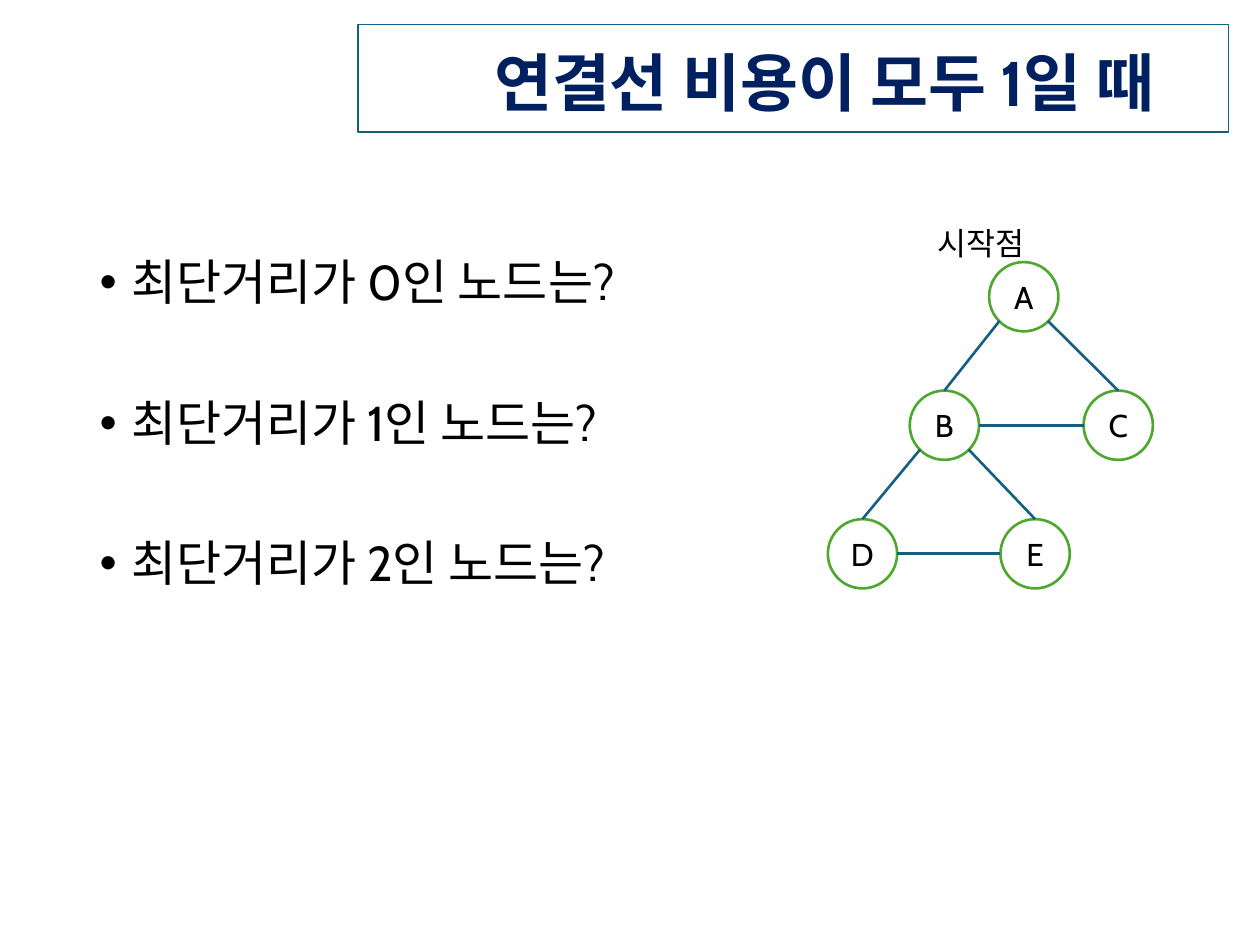
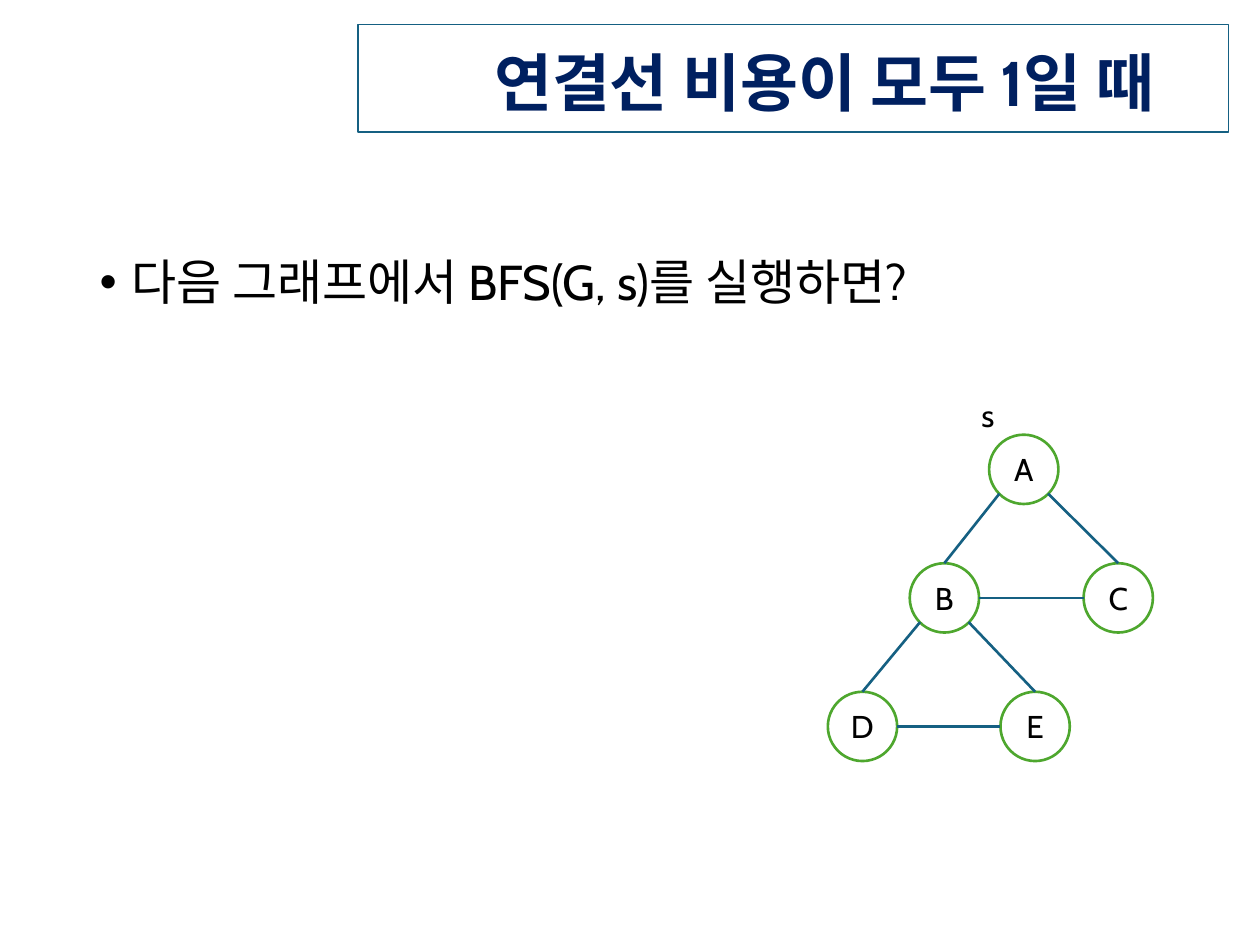
"""Builds two slides about shortest paths in a graph with unit edge costs."""
from lxml import etree
from pptx import Presentation
from pptx.dml.color import RGBColor
from pptx.enum.shapes import MSO_CONNECTOR, MSO_SHAPE
from pptx.enum.text import MSO_ANCHOR, MSO_AUTO_SIZE, PP_ALIGN
from pptx.oxml.ns import qn
from pptx.util import Inches, Pt

NAVY = RGBColor(0x00, 0x20, 0x60)
TEAL = RGBColor(0x15, 0x60, 0x82)
GREEN = RGBColor(0x4E, 0xA7, 0x2E)
WHITE = RGBColor(0xFF, 0xFF, 0xFF)
BLACK = RGBColor(0x00, 0x00, 0x00)
FONT = "Cabin"
OVAL = MSO_SHAPE.OVAL
STRAIGHT = MSO_CONNECTOR.STRAIGHT
MIDDLE, TOP = MSO_ANCHOR.MIDDLE, MSO_ANCHOR.TOP
GROW, NO_FIT = MSO_AUTO_SIZE.SHAPE_TO_FIT_TEXT, MSO_AUTO_SIZE.NONE
LEFT, CENTER, RIGHT = PP_ALIGN.LEFT, PP_ALIGN.CENTER, PP_ALIGN.RIGHT

TITLE = "연결선 비용이 모두 1일 때"
DIAMETER = 0.55
ROW_STEP = 1.02
NODES = {"A": (7.85, 0), "B": (7.22, 1), "C": (8.6, 1), "D": (6.57, 2), "E": (7.94, 2)}
SITES = {
    "top": (0.5, 0),
    "left": (0, 0.5),
    "right": (1, 0.5),
    "lower left": (0.15, 0.85),
    "lower right": (0.85, 0.85),
}
EDGES = [
    ("B", "top", "A", "lower left"),
    ("C", "top", "A", "lower right"),
    ("D", "top", "B", "lower left"),
    ("E", "top", "B", "lower right"),
    ("E", "left", "D", "right"),
    ("B", "right", "C", "left"),
]


class Deck:
    """Holds the shared style and the current slide."""

    def __init__(self):
        self.prs = Presentation()
        self.prs.slide_width, self.prs.slide_height = Inches(10), Inches(7.5)
        self.s = None

    def place(self, sp, x, y, w, h):
        sp.left, sp.top, sp.width, sp.height = (Inches(v) for v in (x, y, w, h))

    def add_text(self, p, text, size, color=BLACK, bold=False, align=LEFT):
        p.alignment = align
        r = p.add_run()
        r.text = text
        r.font.name, r.font.size, r.font.bold = FONT, Pt(size), bold
        r.font.color.rgb = color

    def new_slide(self, title):
        self.s = self.prs.slides.add_slide(self.prs.slide_layouts[1])
        self.s.background.fill.solid()
        self.s.background.fill.fore_color.rgb = WHITE
        sp = self.s.shapes.title
        self.place(sp, 2.84, 0.29, 6.91, 0.66)
        sp.line.color.rgb, sp.line.width = TEAL, Pt(0.75)
        tf = sp.text_frame
        tf.word_wrap, tf.auto_size, tf.vertical_anchor = False, GROW, MIDDLE
        tf.margin_left = tf.margin_right = Inches(0.59)
        tf.margin_top, tf.margin_bottom = Inches(0.12), 0
        p = tf.paragraphs[0]
        p.line_spacing = 0.9
        self.add_text(p, title, 36, NAVY, True, RIGHT)

    def bullets(self, items):
        sp = self.s.placeholders[1]
        self.place(sp, 0.69, 2, 9.31, 4.76)
        tf = sp.text_frame
        tf.auto_size, tf.vertical_anchor = NO_FIT, TOP
        for i, text in enumerate(items):
            p = tf.add_paragraph() if i else tf.paragraphs[0]
            p.line_spacing, p.space_before = 0.9, Pt(50 if i else 10)
            pPr = p._p.get_or_add_pPr()
            pPr.set("marL", str(Inches(0.25)))
            pPr.set("indent", str(Inches(-0.25)))
            etree.SubElement(pPr, qn("a:buFont")).set("typeface", "Arial")
            etree.SubElement(pPr, qn("a:buChar")).set("char", "•")
            self.add_text(p, text, 28)

    def node(self, name, x, y):
        sp = self.s.shapes.add_shape(OVAL, Inches(x), Inches(y), Inches(DIAMETER), Inches(DIAMETER))
        sp.shadow.inherit = False
        sp.fill.solid()
        sp.fill.fore_color.rgb = WHITE
        sp.line.color.rgb, sp.line.width = GREEN, Pt(1.5)
        tf = sp.text_frame
        tf.vertical_anchor = MIDDLE
        self.add_text(tf.paragraphs[0], name, 18, align=CENTER)
        return sp

    def edge(self, start, start_site, end, end_site):
        points = []
        for sp, site in ((start, start_site), (end, end_site)):
            fx, fy = SITES[site]
            points += [sp.left + int(sp.width * fx), sp.top + int(sp.height * fy)]
        line = self.s.shapes.add_connector(STRAIGHT, *points)
        if start_site == "top":
            line.begin_connect(start, 0)
        line.line.color.rgb, line.line.width = TEAL, Pt(1.5)
        etree.SubElement(line._element.spPr, qn("a:effectLst"))

    def label(self, text, x, y, w):
        sp = self.s.shapes.add_textbox(Inches(x), Inches(y), Inches(w), Inches(0.4))
        tf = sp.text_frame
        tf.word_wrap, tf.auto_size = False, GROW
        self.add_text(tf.paragraphs[0], text, 18)

    def graph(self, top):
        nodes = {n: self.node(n, x, top + row * ROW_STEP) for n, (x, row) in NODES.items()}
        for start, start_site, end, end_site in EDGES:
            self.edge(nodes[start], start_site, nodes[end], end_site)


def main():
    """Builds and saves the slides."""
    deck = Deck()

    deck.new_slide(TITLE)
    deck.bullets([f"최단거리가 {distance}인 노드는?" for distance in range(3)])
    deck.graph(2.08)
    deck.label("시작점", 7.34, 1.73, 0.96)

    deck.new_slide(TITLE)
    deck.bullets(["다음 그래프에서 BFS(G, s)를 실행하면?"])
    deck.graph(3.45)
    deck.label("s", 7.69, 3.09, 0.32)

    deck.prs.save("out.pptx")


if __name__ == "__main__":
    main()
